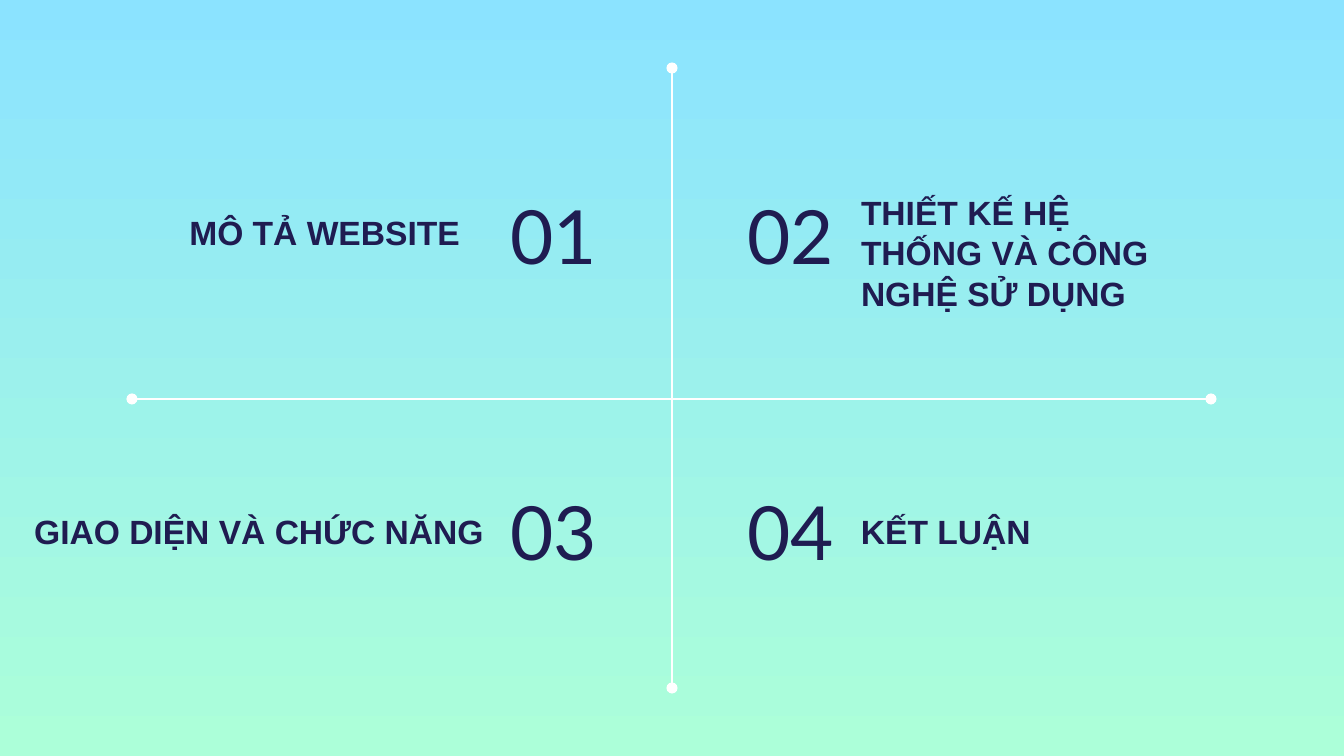
from pptx import Presentation
from pptx.dml.color import RGBColor
from pptx.enum.shapes import MSO_CONNECTOR
from pptx.enum.text import MSO_ANCHOR, PP_ALIGN
from pptx.oxml.ns import qn
from pptx.util import Emu, Pt
from lxml import etree

SLIDE_WIDTH, SLIDE_HEIGHT = 1344, 756
EMU_PER_PX = 9144000 / SLIDE_WIDTH
INSET = 13

SKY = RGBColor(0x8B, 0xE3, 0xFF)
MINT = RGBColor(0xAC, 0xFF, 0xD9)
NAVY = RGBColor(0x1F, 0x1C, 0x51)
WHITE = RGBColor(0xFF, 0xFF, 0xFF)

STRAIGHT = MSO_CONNECTOR.STRAIGHT
MIDDLE, BOTTOM = MSO_ANCHOR.MIDDLE, MSO_ANCHOR.BOTTOM
LEFT, RIGHT = PP_ALIGN.LEFT, PP_ALIGN.RIGHT

AXIS_X, AXIS_Y = 672, 399
NUMBER_WIDTH, ROW_HEIGHT = 175, 116
TOP_ROW, BOTTOM_ROW = 177, 473

# number, heading, on the left, row top, heading box: (gap to axis, offset in row, width, height)
QUADRANTS = [
    ("01", "MÔ TẢ WEBSITE", True, TOP_ROW, (199, 21, 400, 67)),
    ("02", "THIẾT KẾ HỆ THỐNG VÀ CÔNG NGHỆ SỬ DỤNG", False, TOP_ROW, (176, -8, 337, 157)),
    ("03", "GIAO DIỆN VÀ CHỨC NĂNG", True, BOTTOM_ROW, (175, 24, 492, 67)),
    ("04", "KẾT LUẬN", False, BOTTOM_ROW, (176, 24, 340, 67)),
]


def px(length):
    return Emu(round(length * EMU_PER_PX))


def paint_background(slide):
    fill = slide.background.fill
    fill.gradient()
    fill.gradient_angle = 270
    for stop, color in zip(fill.gradient_stops, (SKY, MINT)):
        stop.color.rgb = color


def add_text(slide, box, text, font_name, size, bold, align, anchor):
    shape = slide.shapes.add_textbox(*map(px, box))
    frame = shape.text_frame
    frame.text = text
    frame.word_wrap = True
    frame.vertical_anchor = anchor
    frame.margin_left = frame.margin_right = px(INSET)
    frame.margin_top = frame.margin_bottom = px(INSET)
    paragraph = frame.paragraphs[0]
    paragraph.alignment = align
    font = paragraph.runs[0].font
    font.name, font.size, font.bold = font_name, Pt(size), bold
    font.color.rgb = NAVY


def add_axis(slide, start, end):
    """Draw a white line with a dot at each end."""
    connector = slide.shapes.add_connector(STRAIGHT, *map(px, start + end))
    connector.line.color.rgb = WHITE
    connector.line.width = Pt(1.5)
    line = connector.line._get_or_add_ln()
    for tag in ("a:headEnd", "a:tailEnd"):
        etree.SubElement(line, qn(tag), type="oval")
    etree.SubElement(connector._element.spPr, qn("a:effectLst"))


def add_quadrant(slide, number, heading, on_left, top, heading_box):
    """Place a number beside the vertical axis and its heading further out."""
    gap, offset, width, height = heading_box
    number_left = AXIS_X - NUMBER_WIDTH if on_left else AXIS_X
    heading_left = AXIS_X - gap - width if on_left else AXIS_X + gap
    add_text(slide, (number_left, top, NUMBER_WIDTH, ROW_HEIGHT), number,
             "Lato", 40, False, LEFT if on_left else RIGHT, MIDDLE)
    add_text(slide, (heading_left, top + offset, width, height), heading,
             "Arial", 18, True, RIGHT if on_left else LEFT, BOTTOM)


def main():
    presentation = Presentation()
    presentation.slide_width = px(SLIDE_WIDTH)
    presentation.slide_height = px(SLIDE_HEIGHT)
    slide = presentation.slides.add_slide(presentation.slide_layouts[6])
    paint_background(slide)
    add_axis(slide, (AXIS_X, 68), (AXIS_X, 688))
    add_axis(slide, (132, AXIS_Y), (1211, AXIS_Y))
    for quadrant in QUADRANTS:
        add_quadrant(slide, *quadrant)
    presentation.save("out.pptx")


if __name__ == "__main__":
    main()
